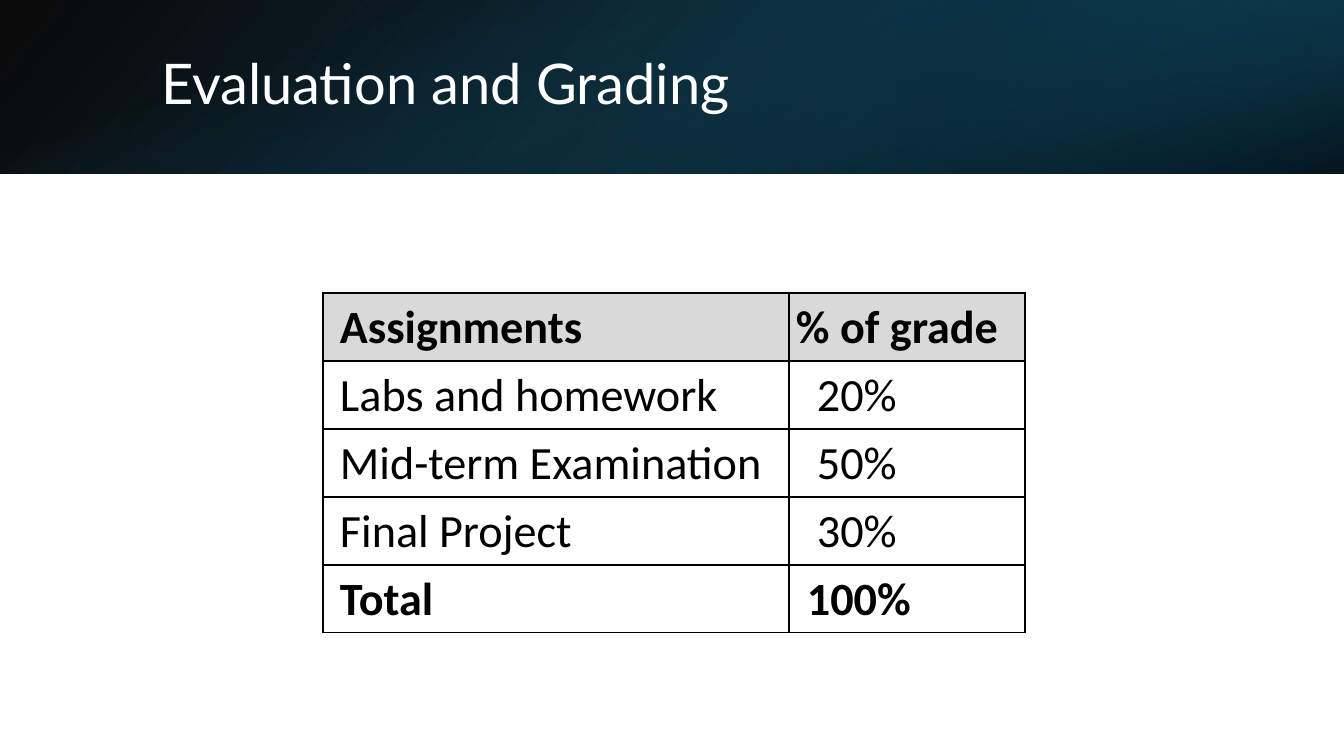
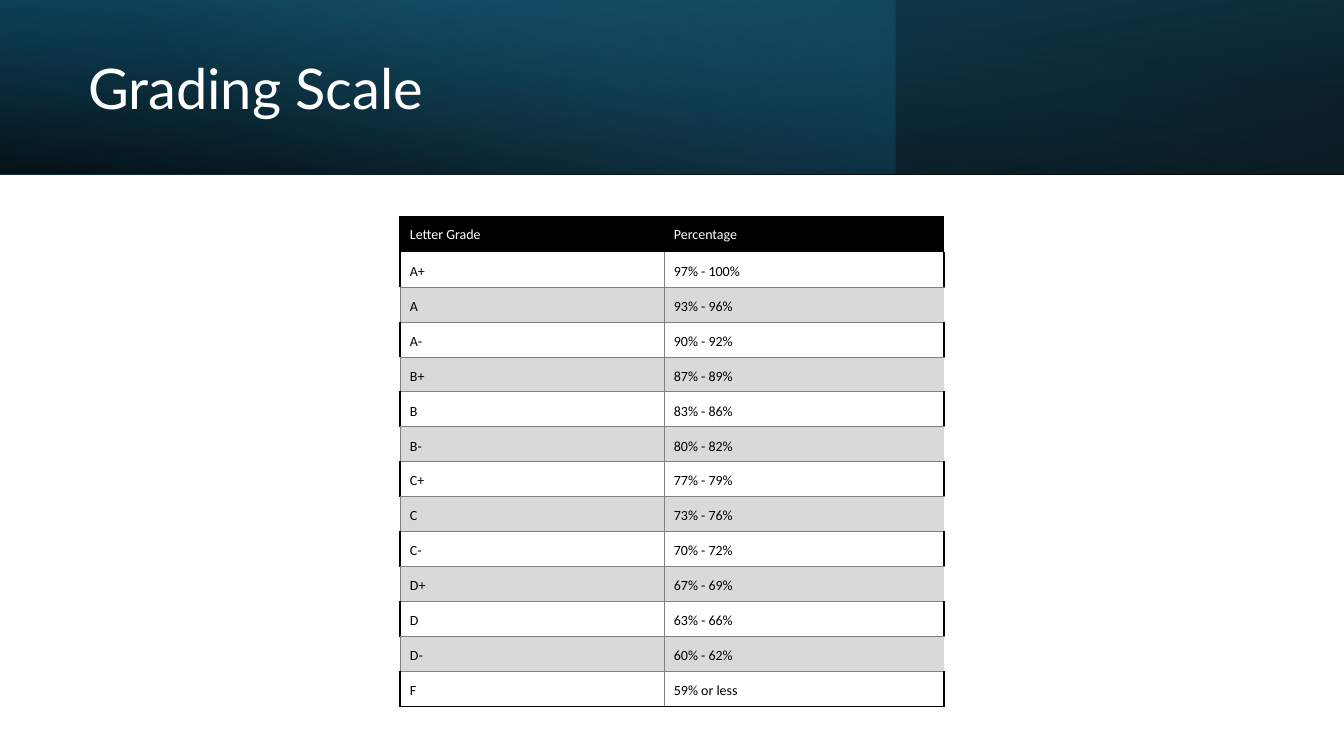
from pptx import Presentation
from pptx.dml.color import RGBColor
from pptx.enum.shapes import MSO_SHAPE as SHAPE
from pptx.enum.text import MSO_ANCHOR as ANCHOR, MSO_AUTO_SIZE as AUTO, PP_ALIGN as ALIGN
from pptx.oxml import parse_xml
from pptx.oxml.ns import nsdecls, qn
from pptx.util import Pt
from lxml.etree import SubElement

PX = 914400 / 100.8
WIDTH, HEIGHT, BAND = 1344, 756, 174
WIDE = 896
TURN = (WIDTH - BAND) // 2

BLACK = RGBColor(0x00, 0x00, 0x00)
WHITE = RGBColor(0xFF, 0xFF, 0xFF)
LIGHT = RGBColor(0xD9, 0xD9, 0xD9)
GREY = RGBColor(0x80, 0x80, 0x80)
NAVY = RGBColor(0x10, 0x48, 0x62)
DEEP = RGBColor(0x0B, 0x30, 0x41)
TEAL = RGBColor(0x15, 0x60, 0x82)
SKY = RGBColor(0x46, 0xB1, 0xE1)

TITLE_FONT, TABLE_FONT = "Lato", "Calibri"
NO_GRID = "{2D5ABB26-0587-4C30-8999-92F81FD0307C}"
THIN, LINE, THICK = (GREY, 0.5), (BLACK, 1), (BLACK, 1.5)

prs = Presentation()
prs.slide_width, prs.slide_height = round(WIDTH * PX), round(HEIGHT * PX)


def add_slide(title, box, bands, corner, col_widths, row_height, row_count):
    s = prs.slides.add_slide(prs.slide_layouts[5])
    for place, rotation, flip, stops, angle in bands:
        sp = s.shapes.add_shape(SHAPE.RECTANGLE, *[round(v * PX) for v in place])
        sp.shadow.inherit = False
        sp.line.fill.background()
        sp.rotation = rotation
        if flip:
            sp._element.spPr.xfrm.set("flipH", "1")
        sp.fill.gradient()
        sp.fill.gradient_angle = 360 - angle
        for stop, (position, color, _) in zip(sp.fill.gradient_stops, stops):
            stop.position = position / 100
            stop.color.rgb = color
        for clr, (_, _, alpha) in zip(sp._element.spPr.iter(qn("a:srgbClr")), stops):
            SubElement(clr, qn("a:alpha")).set("val", str(alpha * 1000))

    sp = s.shapes.title
    s.shapes._spTree.append(sp._element)
    sp.left, sp.top, sp.width, sp.height = [round(v * PX) for v in box]
    tf = sp.text_frame
    tf.text = title
    tf.auto_size = AUTO.NONE
    tf.vertical_anchor = ANCHOR.MIDDLE
    p = tf.paragraphs[0]
    p.alignment = ALIGN.LEFT
    p.line_spacing = 0.9
    font = p.runs[0].font
    font.name, font.size, font.color.rgb = TITLE_FONT, Pt(40), WHITE

    size = sum(col_widths), row_height * row_count
    frame = s.shapes.add_table(row_count, len(col_widths), *[round(v * PX) for v in (*corner, *size)])
    table = frame.table
    table.first_row = table.horz_banding = False
    table._tbl.tblPr.find(qn("a:tableStyleId")).text = NO_GRID
    for column, width in zip(table.columns, col_widths):
        column.width = round(width * PX)
    for row in table.rows:
        row.height = round(row_height * PX)
    return table


def style_cell(cell, text, size, color, bold, fill, anchor, margins, borders):
    cell.text = text
    cell.vertical_anchor = anchor
    cell.margin_left, cell.margin_top, cell.margin_right, cell.margin_bottom = [
        round(v * PX) for v in margins]
    font = cell.text_frame.paragraphs[0].runs[0].font
    font.name, font.size, font.bold, font.color.rgb = TABLE_FONT, Pt(size), bold, color
    tcPr = cell._tc.get_or_add_tcPr()
    for side in "LRTB":
        if side in borders:
            line_color, width = borders[side]
            tcPr.append(parse_xml(
                f'<a:ln{side} {nsdecls("a")} w="{Pt(width)}"><a:solidFill>'
                f'<a:srgbClr val="{line_color}"/></a:solidFill></a:ln{side}>'))
    cell.fill.solid()
    cell.fill.fore_color.rgb = fill


full = (0, 0, WIDTH, BAND)

bands = [
    (full, 0, True, [(0, BLACK, 96), (100, NAVY, 100)], 140),
    ((WIDE, 0, WIDTH - WIDE, BAND), 180, True, [(19, DEEP, 68), (100, TEAL, 79)], 320),
    ((TURN, -TURN, BAND, WIDTH), 90, False, [(23, TEAL, 0), (99, BLACK, 74)], 340),
]
weights = [
    ("Assignments", "% of grade", 7),
    ("Labs and homework", "20%", 28),
    ("Mid-term Examination", "50%", 28),
    ("Final Project", "30%", 28),
    ("Total", "100%", 18),
]
table = add_slide("Evaluation and Grading", (151, 38, 1107, 97), bands,
                  (323, 293), (466, 236), 68, len(weights))
for i, (name, share, indent) in enumerate(weights):
    bold = i in (0, len(weights) - 1)
    fill = LIGHT if i == 0 else WHITE
    for j, (text, left) in enumerate([(name, 17), (share, indent)]):
        style_cell(table.cell(i, j), text, 33, BLACK, bold, fill, ANCHOR.BOTTOM,
                   (left, 5, 7, 5), dict.fromkeys("LRTB", LINE))

bands = [
    (full, 180, True, [(0, BLACK, 96), (100, NAVY, 100)], 100),
    ((0, 0, WIDE, BAND), 0, False, [(0, TEAL, 41), (74, SKY, 0)], 140),
    (full, 0, True, [(0, BLACK, 63), (78, TEAL, 15)], 260),
]
scale = [
    ("Letter Grade", "Percentage"),
    ("A+", "97% - 100%"),
    ("A", "93% - 96%"),
    ("A-", "90% - 92%"),
    ("B+", "87% - 89%"),
    ("B", "83% - 86%"),
    ("B-", "80% - 82%"),
    ("C+", "77% - 79%"),
    ("C", "73% - 76%"),
    ("C-", "70% - 72%"),
    ("D+", "67% - 69%"),
    ("D", "63% - 66%"),
    ("D-", "60% - 62%"),
    ("F", "59% or less"),
]
table = add_slide("Grading Scale", (78, 27, 778, 128), bands,
                  (400, 217), (264, 280), 35, len(scale))
header = [{"L": THICK, "T": THICK}, {"T": THICK}]
shaded = [{"L": THIN, "R": THIN, "T": THIN}, {"L": THIN, "T": THIN}]
plain = [{"L": THICK, "R": THIN, "B": THIN}, {"L": THIN, "R": THICK, "B": THIN}]
last = [{**sides, "B": THICK} for sides in plain]
for i, row in enumerate(scale):
    color, fill, anchor = BLACK, WHITE, ANCHOR.BOTTOM
    if i == 0:
        color, fill, anchor, borders = WHITE, BLACK, ANCHOR.MIDDLE, header
    elif i == len(scale) - 1:
        borders = last
    elif i % 2 == 0:
        fill, borders = LIGHT, shaded
    else:
        borders = plain
    for j, text in enumerate(row):
        style_cell(table.cell(i, j), text, 10, color, False, fill, anchor,
                   (10, 7, 6, 7), borders[j])

prs.save("out.pptx")
